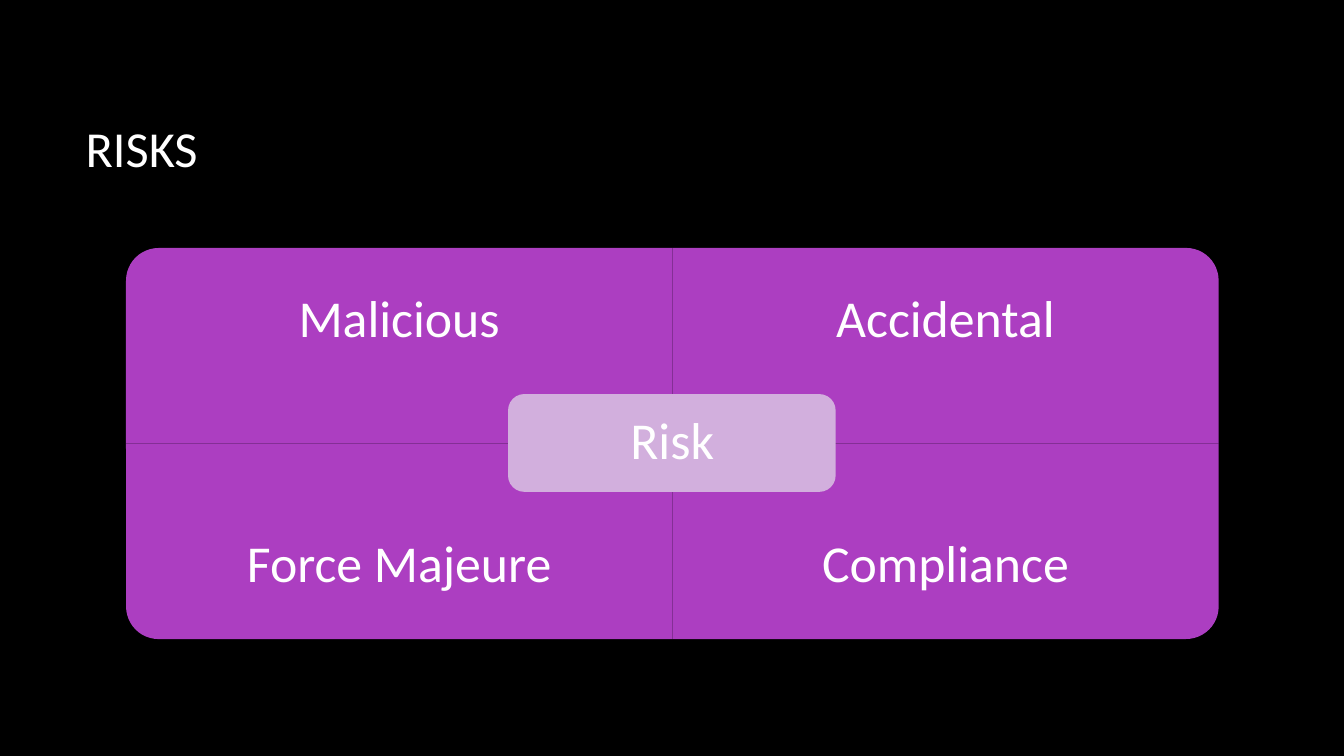
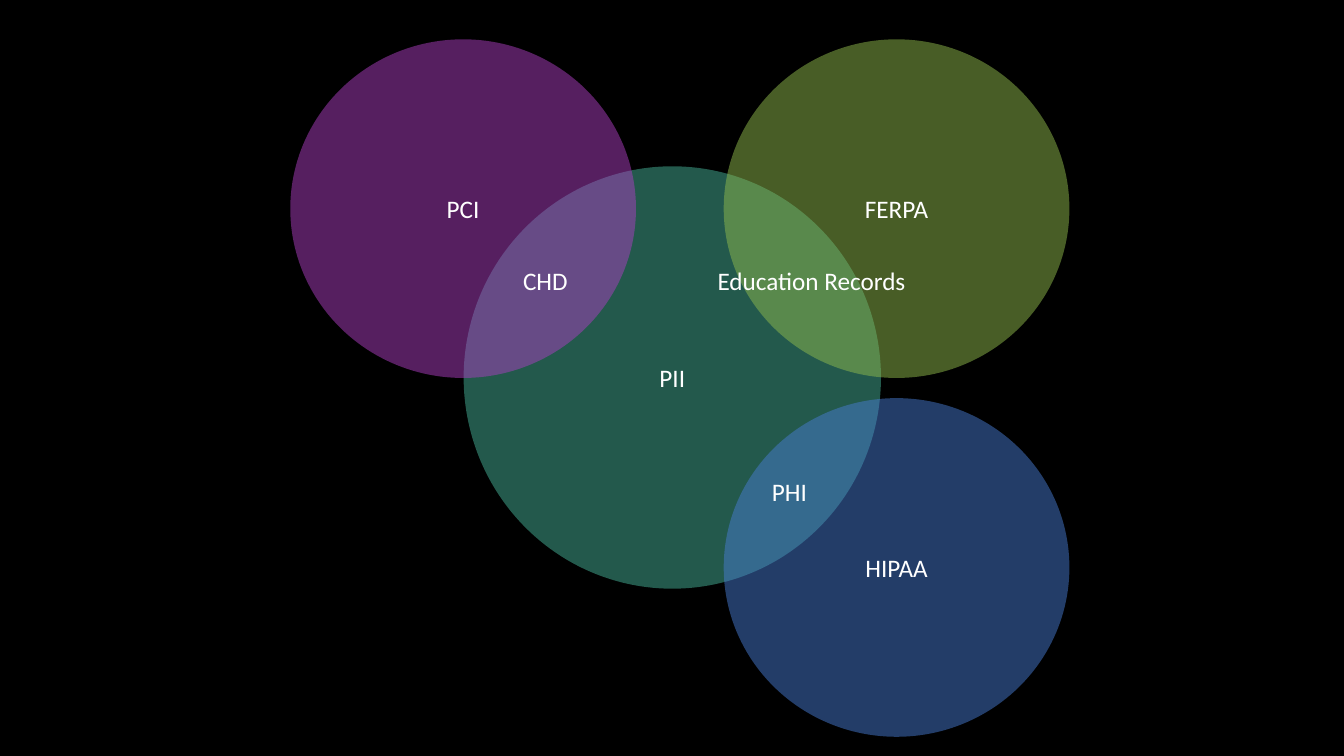
from lxml import etree
from pptx import Presentation
from pptx import util as u
from pptx.dml.color import RGBColor
from pptx.enum import shapes, text
from pptx.oxml.ns import qn

PX = 9144
FONT = "Calibri"
BLACK = RGBColor(0x00, 0x00, 0x00)
WHITE = RGBColor(0xFF, 0xFF, 0xFF)
PURPLE = RGBColor(0xAC, 0x3E, 0xC1)
LILAC = RGBColor(0xD2, 0xAF, 0xDD)
TEAL = RGBColor(0x46, 0xB2, 0x98)
BLUE = RGBColor(0x47, 0x7B, 0xD1)
GREEN = RGBColor(0x90, 0xBA, 0x4C)
KIND = shapes.MSO_SHAPE
LEFT, MID = text.PP_ALIGN.LEFT, text.PP_ALIGN.CENTER
TOP, CENTER = text.MSO_ANCHOR.TOP, text.MSO_ANCHOR.MIDDLE


class Deck:
    """Hold the shared style and the slide being drawn."""

    def __init__(self):
        self.prs = Presentation()
        self.prs.slide_width = u.Emu(12192000)
        self.prs.slide_height = u.Emu(750 * PX)
        fill = self.prs.slide_master.background.fill
        fill.solid()
        fill.fore_color.rgb = BLACK

    def add(self, layout):
        page = self.prs.slide_layouts.get_by_name(layout)
        self.slide = self.prs.slides.add_slide(page)

    def style(self, shape, words, size, align=MID, anchor=CENTER):
        frame = shape.text_frame
        frame.text = words
        frame.word_wrap = True
        frame.vertical_anchor = anchor
        para = frame.paragraphs[0]
        para.alignment = align
        for run in para.runs:
            run.font.name = FONT
            run.font.size = u.Pt(size)
            run.font.color.rgb = WHITE
        return frame

    def title(self, words, box):
        shape = self.slide.shapes.title
        shape.left, shape.top, shape.width, shape.height = (n * PX for n in box)
        self.style(shape, words, 36, LEFT)

    def shape(self, kind, box, color, alpha=100):
        shape = self.slide.shapes.add_shape(kind, *(n * PX for n in box))
        shape.shadow.inherit = False
        shape.fill.solid()
        shape.fill.fore_color.rgb = color
        shape.line.fill.background()
        if alpha < 100:
            tint = shape.element.spPr.find(qn("a:solidFill"))[0]
            etree.SubElement(tint, qn("a:alpha"), val=str(alpha * 1000))
        return shape

    def circle(self, words, box, color):
        shape = self.shape(KIND.FLOWCHART_CONNECTOR, box, color, 50)
        self.style(shape, words, 18)

    def label(self, words, box):
        shape = self.slide.shapes.add_textbox(*(n * PX for n in box))
        self.style(shape, words, 18, LEFT, TOP)

    def head(self, words, box, inset):
        shape = self.slide.shapes.add_textbox(*(n * PX for n in box))
        frame = self.style(shape, words, 37)
        frame.paragraphs[0].line_spacing = 0.9
        frame.margin_left = frame.margin_right = inset * PX
        frame.margin_top = frame.margin_bottom = inset * PX

    def corner(self, box, turn):
        x, y, w, h = box
        if turn % 180:
            x, y, w, h = x + (w - h) // 2, y + (h - w) // 2, h, w
        shape = self.shape(KIND.ROUND_1_RECTANGLE, (x, y, w, h), PURPLE)
        shape.rotation = turn


def risks(deck):
    deck.add("Title Only")
    deck.title("RISKS", (75, 67, 1108, 159))
    left, top, wide, high, band = 125, 246, 542, 194, 145
    cells = [
        ("Malicious", 0, 0, 270),
        ("Accidental", 1, 0, 0),
        ("Force Majeure", 0, 1, 180),
        ("Compliance", 1, 1, 90),
    ]
    for words, col, row, turn in cells:
        x, y = left + col * wide, top + row * high
        deck.corner((x, y, wide, high), turn)
        deck.head(words, (x, y + row * (high - band), wide, band), 29)
    deck.shape(KIND.ROUNDED_RECTANGLE, (504, 391, 325, 97), LILAC)
    deck.head("Risk", (509, 396, 316, 87), 15)


def overlaps(deck):
    deck.add("Blank")
    wide, high = 343, 336
    deck.circle("PII", (460, 165, 414, 419), TEAL)
    for words, x, y, color in [
        ("HIPAA", 718, 395, BLUE),
        ("PCI", 288, 39, PURPLE),
        ("FERPA", 718, 39, GREEN),
    ]:
        deck.circle(words, (x, y, wide, high), color)
    for words, x, y, span in [
        ("CHD", 509, 258, 122),
        ("Education Records", 702, 258, 222),
        ("PHI", 756, 468, 122),
    ]:
        deck.label(words, (x, y, span, 40))


def main():
    deck = Deck()
    risks(deck)
    overlaps(deck)
    deck.prs.save("out.pptx")


if __name__ == "__main__":
    main()
